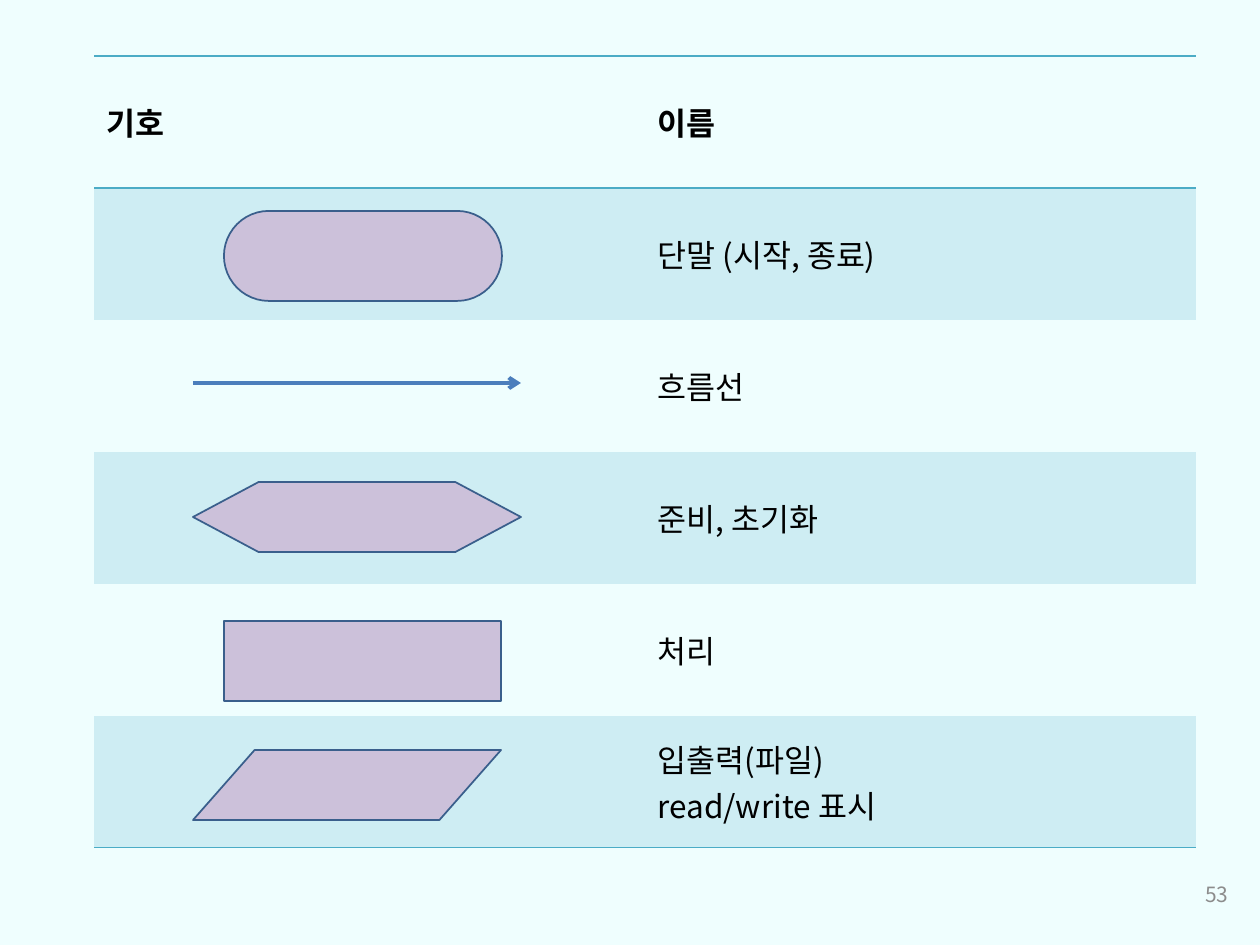
import lxml.etree
import pptx
import pptx.dml.color
import pptx.enum.shapes
import pptx.enum.text
import pptx.oxml.ns
import pptx.util

RGBColor = pptx.dml.color.RGBColor
Shapes = pptx.enum.shapes.MSO_SHAPE
Anchor = pptx.enum.text.MSO_ANCHOR
Align = pptx.enum.text.PP_ALIGN
qn = pptx.oxml.ns.qn

BACKGROUND = RGBColor(0xEF, 0xFE, 0xFE)
BAND = RGBColor(0xCE, 0xED, 0xF3)
RULE = RGBColor(0x4B, 0xAC, 0xC6)
SYMBOL_FILL = RGBColor(0xCC, 0xC1, 0xDA)
SYMBOL_LINE = RGBColor(0x3A, 0x5F, 0x8C)
ARROW = RGBColor(0x4B, 0x7E, 0xBC)
BLACK = RGBColor(0, 0, 0)
GRAY = RGBColor(0x8C, 0x8C, 0x8C)

FONT = "Noto Sans CJK KR"
NO_STYLE = "{2D5ABB26-0587-4C30-8999-92F81FD0307C}"
PIXEL = pptx.util.Inches(1) / 126

ROWS = [
    ("기호", "이름"),
    ("", "단말 (시작, 종료)"),
    ("", "흐름선"),
    ("", "준비, 초기화"),
    ("", "처리"),
    ("", "입출력(파일)\nread/write 표시"),
]

SYMBOLS = [
    (Shapes.FLOWCHART_TERMINATOR, 224, 211, 278, 90),
    (Shapes.FLOWCHART_PREPARATION, 193, 482, 328, 70),
    (Shapes.FLOWCHART_PROCESS, 224, 621, 277, 80),
    (Shapes.FLOWCHART_DATA, 193, 750, 308, 70),
]


def emu(*lengths):
    return [round(length * PIXEL) for length in lengths]


class FlowchartSlide:
    def __init__(self, slide):
        self.slide = slide
        fill = slide.background.fill
        fill.solid()
        fill.fore_color.rgb = BACKGROUND

    def set_text(self, frame, text, size, color, bold=False, align=Align.LEFT):
        frame.text = text
        for paragraph in frame.paragraphs:
            paragraph.alignment = align
            font = paragraph.font
            font.name = FONT
            font.size = pptx.util.Pt(size)
            font.bold = bold
            font.color.rgb = color
            properties = paragraph._p.pPr.find(qn("a:defRPr"))
            lxml.etree.SubElement(properties, qn("a:ea"), typeface=FONT)

    def border(self, cell, side):
        properties = cell._tc.get_or_add_tcPr()
        line = lxml.etree.SubElement(properties, qn(f"a:{side}"), w=str(pptx.util.Pt(1)))
        fill = lxml.etree.SubElement(line, qn("a:solidFill"))
        lxml.etree.SubElement(fill, qn("a:srgbClr"), val=str(RULE))

    def table(self, rows, left, top, width, row_height):
        frame = self.slide.shapes.add_table(
            len(rows), len(rows[0]), *emu(left, top, width, row_height * len(rows)))
        table = frame.table
        table.horz_banding = False
        table._tbl.tblPr.find(qn("a:tableStyleId")).text = NO_STYLE
        for index, texts in enumerate(rows):
            header = index == 0
            for column, text in enumerate(texts):
                cell = table.cell(index, column)
                cell.vertical_anchor = Anchor.MIDDLE
                self.set_text(cell.text_frame, text, 18, BLACK, bold=header)
                if header:
                    self.border(cell, "lnT")
                if index in (0, len(rows) - 1):
                    self.border(cell, "lnB")
                if index % 2:
                    cell.fill.solid()
                    cell.fill.fore_color.rgb = BAND
                else:
                    cell.fill.background()

    def symbol(self, kind, left, top, width, height):
        shape = self.slide.shapes.add_shape(kind, *emu(left, top, width, height))
        shape.shadow.inherit = False
        shape.fill.solid()
        shape.fill.fore_color.rgb = SYMBOL_FILL
        shape.line.color.rgb = SYMBOL_LINE
        shape.line.width = pptx.util.Pt(1)

    def arrow(self, start, end, height):
        connector = self.slide.shapes.add_connector(
            pptx.enum.shapes.MSO_CONNECTOR.STRAIGHT, *emu(start, height, end, height))
        connector.line.color.rgb = ARROW
        connector.line.width = pptx.util.Pt(2.25)
        line = connector._element.spPr.find(qn("a:ln"))
        lxml.etree.SubElement(line, qn("a:tailEnd"), type="arrow")
        lxml.etree.SubElement(connector._element.spPr, qn("a:effectLst"))

    def page_number(self, text, left, top, width, height):
        box = self.slide.shapes.add_textbox(*emu(left, top, width, height))
        frame = box.text_frame
        frame.word_wrap = True
        frame.vertical_anchor = Anchor.MIDDLE
        self.set_text(frame, text, 12, GRAY, align=Align.RIGHT)


def main():
    presentation = pptx.Presentation()
    presentation.slide_width, presentation.slide_height = emu(1260, 945)
    page = FlowchartSlide(presentation.slides.add_slide(presentation.slide_layouts[6]))
    page.table(ROWS, left=94, top=56, width=1102, row_height=132)
    for symbol in SYMBOLS:
        page.symbol(*symbol)
    page.arrow(193, 521, 383)
    page.page_number("53", 947, 869, 294, 50)
    presentation.save("out.pptx")


if __name__ == "__main__":
    main()
